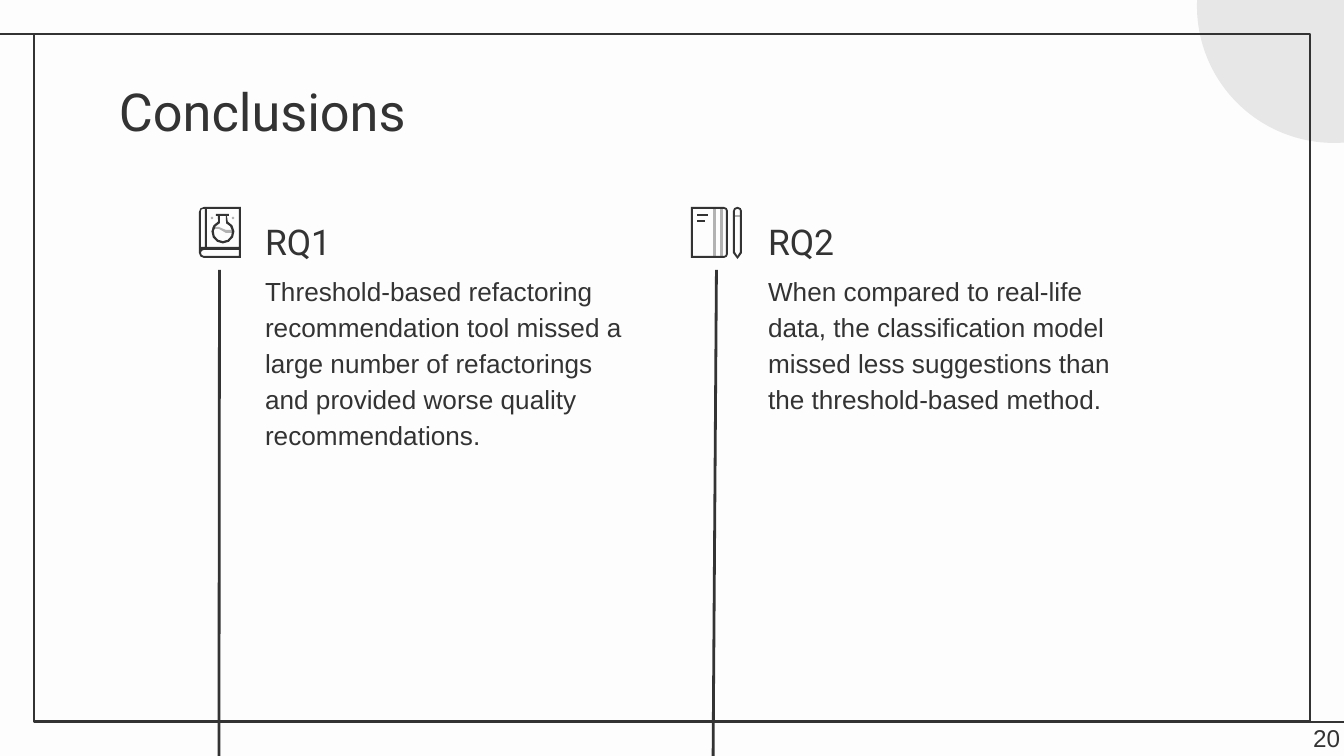
from math import cos, radians, sin

from lxml import etree
from pptx import Presentation
from pptx.dml.color import RGBColor
from pptx.enum.shapes import MSO_CONNECTOR, MSO_SHAPE
from pptx.enum.text import MSO_ANCHOR, PP_ALIGN
from pptx.oxml.ns import qn
from pptx.util import Emu, Pt

PAPER = RGBColor(0xFD, 0xFD, 0xFD)
INK = RGBColor(0x33, 0x33, 0x33)
GREY = RGBColor(0xB2, 0xB2, 0xB2)
PALE = RGBColor(0xE8, 0xE7, 0xE7)
STRAIGHT = MSO_CONNECTOR.STRAIGHT
RECTANGLE, ELLIPSE = MSO_SHAPE.RECTANGLE, MSO_SHAPE.OVAL
TOP, BOTTOM = MSO_ANCHOR.TOP, MSO_ANCHOR.BOTTOM
LEFT, RIGHT = PP_ALIGN.LEFT, PP_ALIGN.RIGHT
HEAD_FONT, BODY_FONT = "Roboto", "Arial"
BOTTOM_SIDE = 2
EMU_PER_PX = 914400 / 134.4


# Outlines for the icons, in px
def arc(x, y, radius, start, end, step=45):
    """Points clockwise; 0 degrees is straight up."""
    if radius == 0:
        return [(x, y)]
    return [(x + radius * sin(radians(a)), y - radius * cos(radians(a)))
            for a in range(start, end + 1, step)]


def rounded(left, top, right, bottom, tl=0, tr=0, br=0, bl=0):
    """Box with one radius per corner, clockwise from top left."""
    return (arc(left + tl, top + tl, tl, 270, 360) + arc(right - tr, top + tr, tr, 0, 90)
            + arc(right - br, bottom - br, br, 90, 180)
            + arc(left + bl, bottom - bl, bl, 180, 270))


def pen(left, top, right, shoulder, tip, radius):
    return (arc(left + radius, top + radius, radius, 270, 360)
            + arc(right - radius, top + radius, radius, 0, 90)
            + [(right, shoulder), ((left + right) / 2, tip), (left, shoulder)])


# Content: icons are (colour, contours); inner contours are holes
FLASK_BOOK = [
    (GREY, [[(212, 227), (219, 227), (226, 230), (233, 230),
             (233, 233), (226, 233), (219, 229), (212, 229)]]),
    (INK, [rounded(199, 207, 241, 258, 5, 0, 0, 5), rounded(207, 209, 239, 247),
           rounded(201, 209, 205, 247, 2), rounded(201, 250, 239, 256, 3, 0, 0, 3)]),
    (INK, [[(218, 216), (216, 216), (216, 214), (229, 214), (229, 216), (227, 216)]
           + arc(223, 232, 11.5, 25, 335, 31),
           [(220, 216), (226, 216)] + arc(223, 232, 9.2, 20, 340, 32)]),
    (GREY, [arc(233, 218, 1.3, 0, 300, 60)]),
    (GREY, [arc(212, 218, 1.3, 0, 300, 60)]),
]
NOTEBOOK_PEN = [
    (GREY, [rounded(720, 208, 723, 257)]),
    (GREY, [rounded(713, 208, 716, 257)]),
    (GREY, [rounded(734, 215, 741, 217)]),
    (INK, [rounded(691, 207, 728, 258, 0, 4, 4), rounded(693, 209, 726, 256, 0, 2, 2)]),
    (INK, [pen(733, 207, 742, 253, 259, 4), pen(735, 209, 740, 252, 256, 2)]),
    (INK, [rounded(697, 214, 708, 216)]),
    (INK, [rounded(697, 220, 705, 222)]),
]
# Heading, text, text left, icon tile left, line end, icon
COLUMNS = [
    ("RQ1", "Threshold-based refactoring recommendation tool missed a large number of "
     "refactorings and provided worse quality recommendations.",
     252, 182, (219, 767), FLASK_BOOK),
    ("RQ2", "When compared to real-life data, the classification model missed less "
     "suggestions than the threshold-based method.",
     755, 679, (713, 777), NOTEBOOK_PEN),
]
TILE, TILE_TOPS = 75, (195, 425)
TEXT_WIDTH = 395


def px(value):
    return Emu(round(value * EMU_PER_PX))


def style_shape(shape, fill, line=None):
    shape.shadow.inherit = False
    if fill is None:
        shape.fill.background()
    else:
        shape.fill.solid()
        shape.fill.fore_color.rgb = fill
    if line is None:
        shape.line.fill.background()
    else:
        shape.line.color.rgb = line
        shape.line.width = Pt(1.5)


def add_shape(shapes, kind, left, top, width, height, fill=None, line=None):
    shape = shapes.add_shape(kind, px(left), px(top), px(width), px(height))
    style_shape(shape, fill, line)
    return shape


def add_line(shapes, start, end):
    line = shapes.add_connector(STRAIGHT, *map(px, start + end))
    line.line.color.rgb = INK
    line.line.width = Pt(1.5)
    etree.SubElement(line._element.spPr, qn("a:effectLst"))
    return line


def add_text(text, left, top, width, height, font, size,
             anchor=TOP, align=LEFT, spacing=1.0):
    frame = page.shapes.add_textbox(px(left), px(top), px(width), px(height)).text_frame
    frame.word_wrap = True
    frame.vertical_anchor = anchor
    frame.margin_left = frame.margin_right = px(13)
    frame.margin_top = frame.margin_bottom = px(13)
    para = frame.paragraphs[0]
    para.text = text
    para.alignment = align
    para.line_spacing = spacing
    para.font.name, para.font.size = font, Pt(size)
    para.font.color.rgb = INK


def add_icon(parts):
    group = page.shapes.add_group_shape()
    for colour, contours in parts:
        builder = None
        for contour in contours:
            points = [(px(x), px(y)) for x, y in contour]
            if builder is None:
                builder = group.shapes.build_freeform(*points[0])
            else:
                builder.move_to(*points[0])
            builder.add_line_segments(points[1:], close=True)
        style_shape(builder.convert_to_shape(), colour)


deck = Presentation()
deck.slide_width, deck.slide_height = px(1344), px(756)
page = deck.slides.add_slide(deck.slide_layouts[6])
page.background.fill.solid()
page.background.fill.fore_color.rgb = PAPER

# Corner circle and frame
add_shape(page.shapes, ELLIPSE, 1197, -131, 274, 274, PALE)
frame_group = page.shapes.add_group_shape()
add_shape(frame_group.shapes, RECTANGLE, 34, 34, 1276, 688, line=INK)
add_line(frame_group.shapes, (35, 34), (-3, 34))
add_line(frame_group.shapes, (1348, 722), (1310, 722))

# Title and page number
add_text("Conclusions", 106, 66, 1133, 85, HEAD_FONT, 28)
add_text("20", 1272, 710, 81, 58, BODY_FONT, 13, align=RIGHT)

# Columns: tiles, vertical line, texts, icon
for heading, body, text_left, tile_left, line_end, icon in COLUMNS:
    tiles = [add_shape(page.shapes, RECTANGLE, tile_left, top, TILE, TILE, PAPER)
             for top in TILE_TOPS]
    line = add_line(page.shapes, (tile_left + TILE / 2, TILE_TOPS[0] + TILE), line_end)
    line.begin_connect(tiles[0], BOTTOM_SIDE)
    add_text(body, text_left, 258, TEXT_WIDTH, 220, BODY_FONT, 14, spacing=1.15)
    add_text(heading, text_left, 224, TEXT_WIDTH, 52, HEAD_FONT, 19, BOTTOM, spacing=1.15)
    add_icon(icon)

deck.save("out.pptx")
